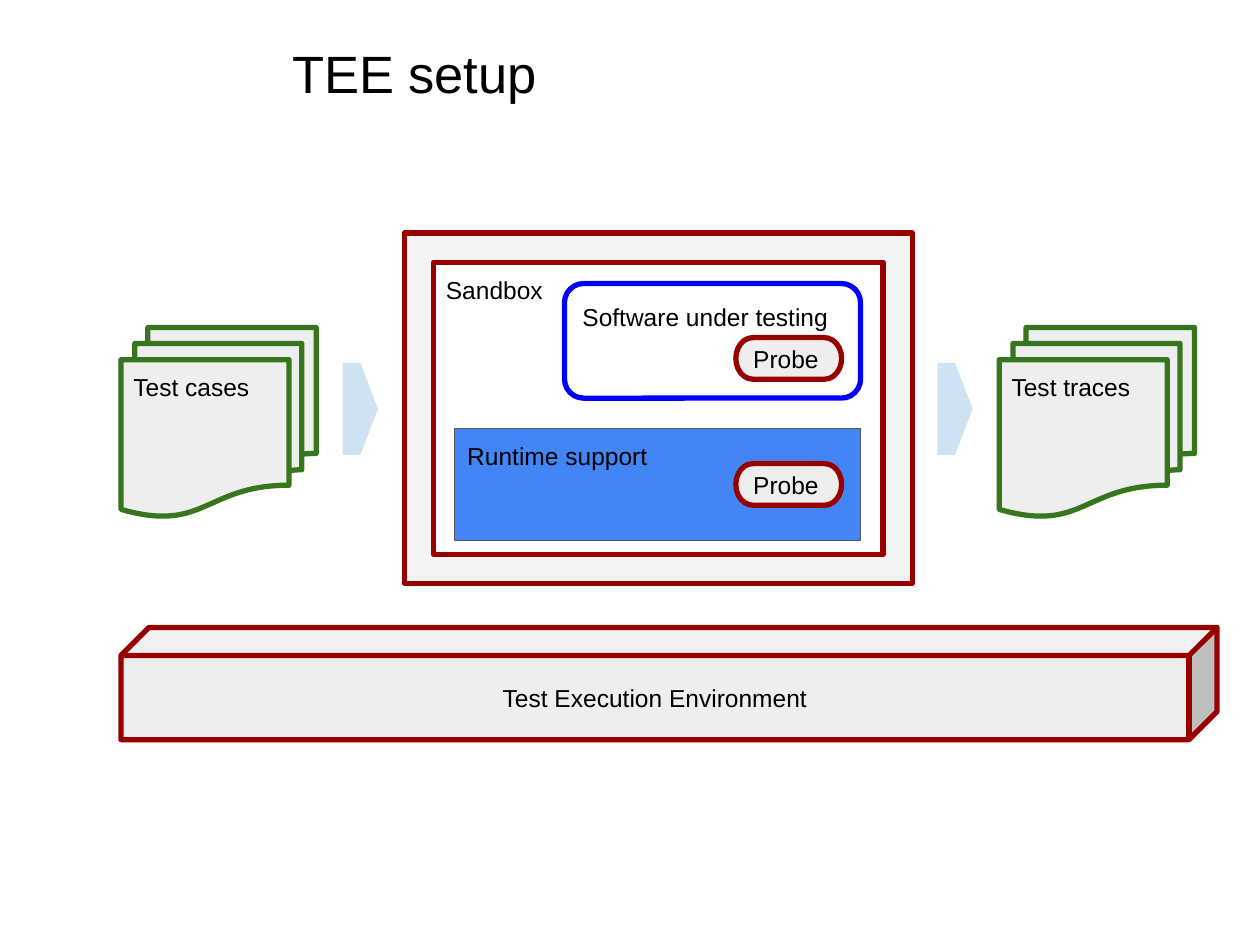
import collections

import pptx
import pptx.dml.color
import pptx.enum.shapes
import pptx.enum.text
import pptx.util

SHAPES = pptx.enum.shapes.MSO_SHAPE
ANCHOR = pptx.enum.text.MSO_ANCHOR
ALIGN = pptx.enum.text.PP_ALIGN

COLUMNS, ROWS = 100, 75
CELL = pptx.util.Inches(0.1)
BLACK, WHITE = "000000", "FFFFFF"
RED, GREEN, BLUE = "980000", "38761D", "0000FF"
GRAY, PALE_GRAY, DARK_GRAY = "EEEEEE", "F3F3F3", "595959"
SKY, PALE_BLUE = "4285F4", "CFE2F3"


class Box(collections.namedtuple("Box", "left top width height")):
    """An area measured in grid columns and rows."""

    def inner(self, left, top, width, height):
        return Box(self.left + left, self.top + top, width, height)

    def lengths(self):
        return [round(cells * CELL) for cells in self]


def color(hex_string):
    return pptx.dml.color.RGBColor.from_string(hex_string)


def write(shape, text, size=14, align=ALIGN.LEFT, anchor=ANCHOR.TOP):
    frame = shape.text_frame
    frame.word_wrap = True
    frame.vertical_anchor = anchor
    frame.margin_left = frame.margin_right = CELL
    frame.margin_top = frame.margin_bottom = CELL
    paragraph = frame.paragraphs[0]
    paragraph.text = text
    paragraph.alignment = align
    paragraph.font.name = "Arial"
    paragraph.font.size = pptx.util.Pt(size)
    paragraph.font.color.rgb = color(BLACK)


def add_shape(slide, kind, box, fill, line=None, weight=3, adjustment=None):
    shape = slide.shapes.add_shape(kind, *box.lengths())
    shape.shadow.inherit = False
    shape.fill.solid()
    shape.fill.fore_color.rgb = color(fill)
    if line:
        shape.line.color.rgb = color(line)
        shape.line.width = pptx.util.Pt(weight)
    else:
        shape.line.fill.background()
    if adjustment is not None:
        shape.adjustments[0] = adjustment
    return shape


def add_title(slide, box, text):
    write(slide.shapes.add_textbox(*box.lengths()), text, size=30, anchor=ANCHOR.MIDDLE)


def add_probe(slide, box):
    """Put a probe near the right edge of the component in the box."""
    probe_box = box.inner(box.width - 9.9, 4.3 if box.height > 9 else 2.8, 8.4, 3.3)
    probe = add_shape(slide, SHAPES.FLOWCHART_TERMINATOR, probe_box, GRAY, RED)
    write(probe, "Probe", anchor=ANCHOR.MIDDLE)


def add_sandbox(slide, box):
    frame = add_shape(slide, SHAPES.FRAME, box, PALE_GRAY, RED, adjustment=0.083)
    write(frame, "Sandbox")

    runtime_box = box.inner(4, 15.5, 32.2, 8.9)
    runtime = add_shape(slide, SHAPES.RECTANGLE, runtime_box, SKY, DARK_GRAY, weight=0.75)
    write(runtime, "Runtime support")

    software_box = box.inner(12.7, 4, 23.5, 9.1)
    software = add_shape(slide, SHAPES.FLOWCHART_ALTERNATE_PROCESS, software_box, WHITE, BLUE)
    write(software, "Software under testing")

    for component_box in (runtime_box, software_box):
        add_probe(slide, component_box)


def add_documents(slide, box, text):
    documents = add_shape(slide, SHAPES.FLOWCHART_MULTIDOCUMENT, box, GRAY, GREEN)
    write(documents, text)


def add_flow_arrow(slide, box):
    add_shape(slide, SHAPES.PENTAGON, box, PALE_BLUE, adjustment=0.5)


def add_environment(slide, box):
    cube = add_shape(slide, SHAPES.CUBE, box, GRAY, RED, adjustment=0.25)
    write(cube, "Test Execution Environment", align=ALIGN.CENTER, anchor=ANCHOR.MIDDLE)


def main():
    presentation = pptx.Presentation()
    presentation.slide_width = COLUMNS * CELL
    presentation.slide_height = ROWS * CELL
    slide = presentation.slides.add_slide(presentation.slide_layouts[6])

    add_title(slide, Box(22.2, 1.6, 74.4, 8.3), "TEE setup")
    add_sandbox(slide, Box(32.1, 18.5, 40.3, 27.8))
    for left, text in ((9.6, "Test cases"), (79.3, "Test traces")):
        add_documents(slide, Box(left, 26, 15.5, 15), text)
    for left in (27.2, 74.4):
        add_flow_arrow(slide, Box(left, 28.8, 2.8, 7.3))
    add_environment(slide, Box(9.6, 49.8, 87, 8.9))

    presentation.save("out.pptx")


if __name__ == "__main__":
    main()
